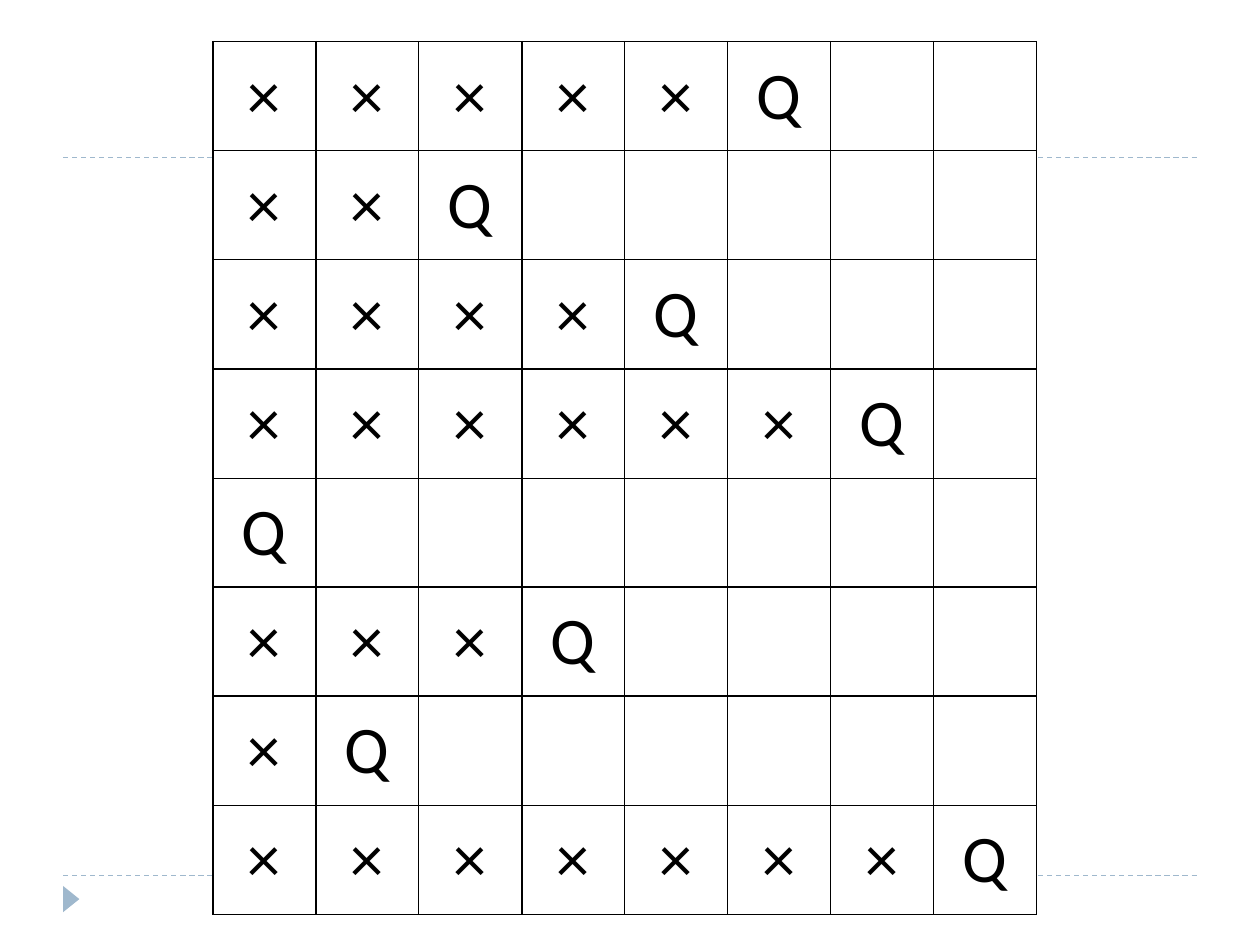
import lxml.etree
import pptx
import pptx.dml.color
import pptx.enum.dml
import pptx.enum.shapes
import pptx.enum.text
import pptx.oxml.ns
import pptx.util

Cm = pptx.util.Cm
Pt = pptx.util.Pt
qn = pptx.oxml.ns.qn
color = pptx.dml.color.RGBColor.from_string

QUEEN_COLUMNS = [5, 2, 4, 6, 0, 3, 1, 7]
BOARD_SIZE = len(QUEEN_COLUMNS)
QUEEN, TRIED = "Q", "×"

THEME = {
    "paper": "FFFFFF",
    "ink": "000000",
    "accent": "9FB8CD",
    "font": "Calibri",
    "mark_size": Pt(38),
    "rule_width": Pt(0.75),
    "grid_width": Pt(1),
    "thin_grid_width": Pt(0.5),
}
THIN_GRID_LINES = (2, 4)

SLIDE = {"slide_width": Cm(25.4), "slide_height": Cm(19.05)}
BOARD = (Cm(4.29), Cm(0.84), Cm(16.61), Cm(17.3))
RULE_LEFT, RULE_RIGHT = Cm(1.27), Cm(24.13)
RULE_HEIGHTS = (Cm(17.65), Cm(3.18))
MARKER = (Cm(1.17), Cm(17.96), Cm(0.53), Cm(0.33))

PLAIN_TABLE = {"first_row": False, "horz_banding": False}
CELL = {
    "margin_left": Cm(0.53),
    "margin_right": Cm(0.53),
    "margin_top": Cm(0.28),
    "margin_bottom": Cm(0.28),
    "vertical_anchor": pptx.enum.text.MSO_ANCHOR.MIDDLE,
}
MARK_FONT = {"name": THEME["font"], "size": THEME["mark_size"]}
RULE_LINE = {
    "width": THEME["rule_width"],
    "dash_style": pptx.enum.dml.MSO_LINE.DASH,
}


def apply_format(target, values):
    for name, value in values.items():
        setattr(target, name, value)


def add_rule(slide, height):
    rule = slide.shapes.add_connector(
        pptx.enum.shapes.MSO_CONNECTOR.STRAIGHT,
        RULE_LEFT, height, RULE_RIGHT, height)
    apply_format(rule.line, RULE_LINE)
    rule.line.color.rgb = color(THEME["accent"])
    lxml.etree.SubElement(rule._element.spPr, qn("a:effectLst"))


def add_marker(slide):
    marker = slide.shapes.add_shape(
        pptx.enum.shapes.MSO_SHAPE.ISOSCELES_TRIANGLE, *MARKER)
    marker.rotation = 90
    marker.shadow.inherit = False
    marker.fill.solid()
    marker.fill.fore_color.rgb = color(THEME["accent"])
    marker.line.fill.background()


def set_borders(cell, row, column):
    properties = cell._tc.get_or_add_tcPr()
    edges = {"L": column, "R": column + 1, "T": row, "B": row + 1}
    for side, grid_line in edges.items():
        thin = grid_line in THIN_GRID_LINES
        width = THEME["thin_grid_width" if thin else "grid_width"]
        border = lxml.etree.SubElement(
            properties, qn("a:ln" + side), w=str(width))
        fill = lxml.etree.SubElement(border, qn("a:solidFill"))
        lxml.etree.SubElement(fill, qn("a:srgbClr"), val=THEME["ink"])


def write_mark(cell, mark):
    paragraph = cell.text_frame.paragraphs[0]
    paragraph.alignment = pptx.enum.text.PP_ALIGN.CENTER
    run = paragraph.add_run()
    run.text = mark
    apply_format(run.font, MARK_FONT)
    run.font.color.rgb = color(THEME["ink"])


def add_board(slide):
    table = slide.shapes.add_table(BOARD_SIZE, BOARD_SIZE, *BOARD).table
    apply_format(table, PLAIN_TABLE)
    for row, queen_column in enumerate(QUEEN_COLUMNS):
        for column in range(BOARD_SIZE):
            cell = table.cell(row, column)
            apply_format(cell, CELL)
            set_borders(cell, row, column)
            cell.fill.solid()
            cell.fill.fore_color.rgb = color(THEME["paper"])
            if column <= queen_column:
                write_mark(cell, QUEEN if column == queen_column else TRIED)


def main():
    presentation = pptx.Presentation()
    apply_format(presentation, SLIDE)
    slide = presentation.slides.add_slide(
        presentation.slide_layouts.get_by_name("Blank"))
    for height in RULE_HEIGHTS:
        add_rule(slide, height)
    add_marker(slide)
    add_board(slide)
    presentation.save("out.pptx")


if __name__ == "__main__":
    main()
